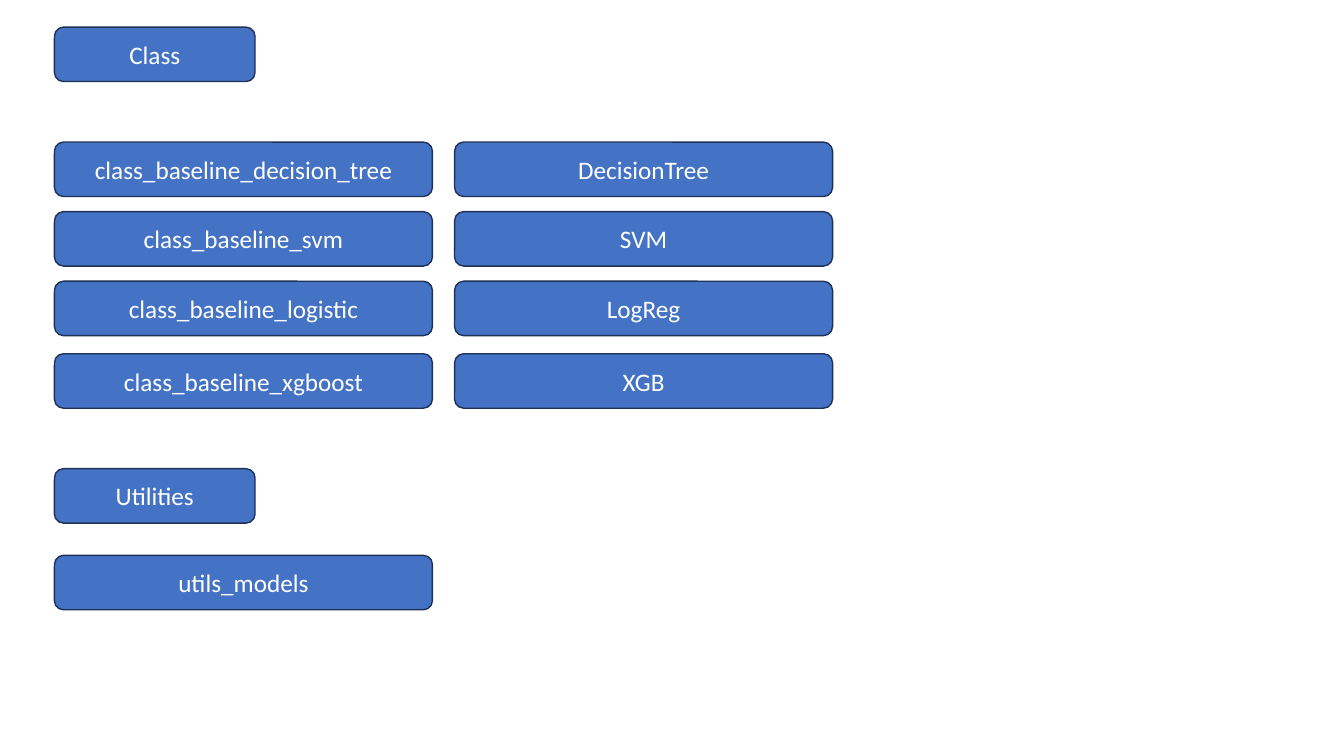
"""Build a slide that maps model modules to their classes and utilities."""
from pptx import Presentation
from pptx import util as u
from pptx.dml import color
from pptx.enum import shapes, text

COLORS = {"box": "4472C4", "outline": "1E3256", "label": "FFFFFF"}
MODULE_LEFT, CLASS_LEFT = 38.9, 324.7
HEADING_WIDTH, ENTRY_WIDTH, BOX_HEIGHT = 143.3, 270, 38.9
HEADINGS = [("Class", 19.4), ("Utilities", 334.8)]
MODELS = [
    ("class_baseline_decision_tree", "DecisionTree", 101.5),
    ("class_baseline_svm", "SVM", 151.2),
    ("class_baseline_logistic", "LogReg", 200.9),
    ("class_baseline_xgboost", "XGB", 252.7),
]
UTILITIES = [("utils_models", 396.7)]


def rgb(name):
    """Return the named colour."""
    return color.RGBColor.from_string(COLORS[name])


def write(frame, wording, size=18, font="Calibri", fill="label"):
    """Put centred, formatted wording into a text frame."""
    frame.word_wrap = True
    frame.vertical_anchor = text.MSO_ANCHOR.MIDDLE
    paragraph = frame.paragraphs[0]
    paragraph.alignment = text.PP_ALIGN.CENTER
    run = paragraph.add_run()
    run.text = wording
    run.font.size = u.Pt(size)
    run.font.name = font
    run.font.color.rgb = rgb(fill)


def add_box(slide, wording, left, top, width=ENTRY_WIDTH):
    """Draw a rounded box with its label."""
    box = slide.shapes.add_shape(
        shapes.MSO_SHAPE.ROUNDED_RECTANGLE,
        u.Pt(left), u.Pt(top), u.Pt(width), u.Pt(BOX_HEIGHT),
    )
    box.shadow.inherit = False
    box.fill.solid()
    box.fill.fore_color.rgb = rgb("box")
    box.line.color.rgb = rgb("outline")
    box.line.width = u.Pt(1)
    write(box.text_frame, wording)


def main():
    """Lay out the headings, model rows and utilities, then save."""
    deck = Presentation()
    deck.slide_width, deck.slide_height = u.Pt(960), u.Pt(540)
    slide = deck.slides.add_slide(deck.slide_layouts.get_by_name("Blank"))
    for heading, top in HEADINGS:
        add_box(slide, heading, MODULE_LEFT, top, HEADING_WIDTH)
    for module, model_class, top in MODELS:
        add_box(slide, module, MODULE_LEFT, top)
        add_box(slide, model_class, CLASS_LEFT, top)
    for utility, top in UTILITIES:
        add_box(slide, utility, MODULE_LEFT, top)
    deck.save("out.pptx")


if __name__ == "__main__":
    main()
